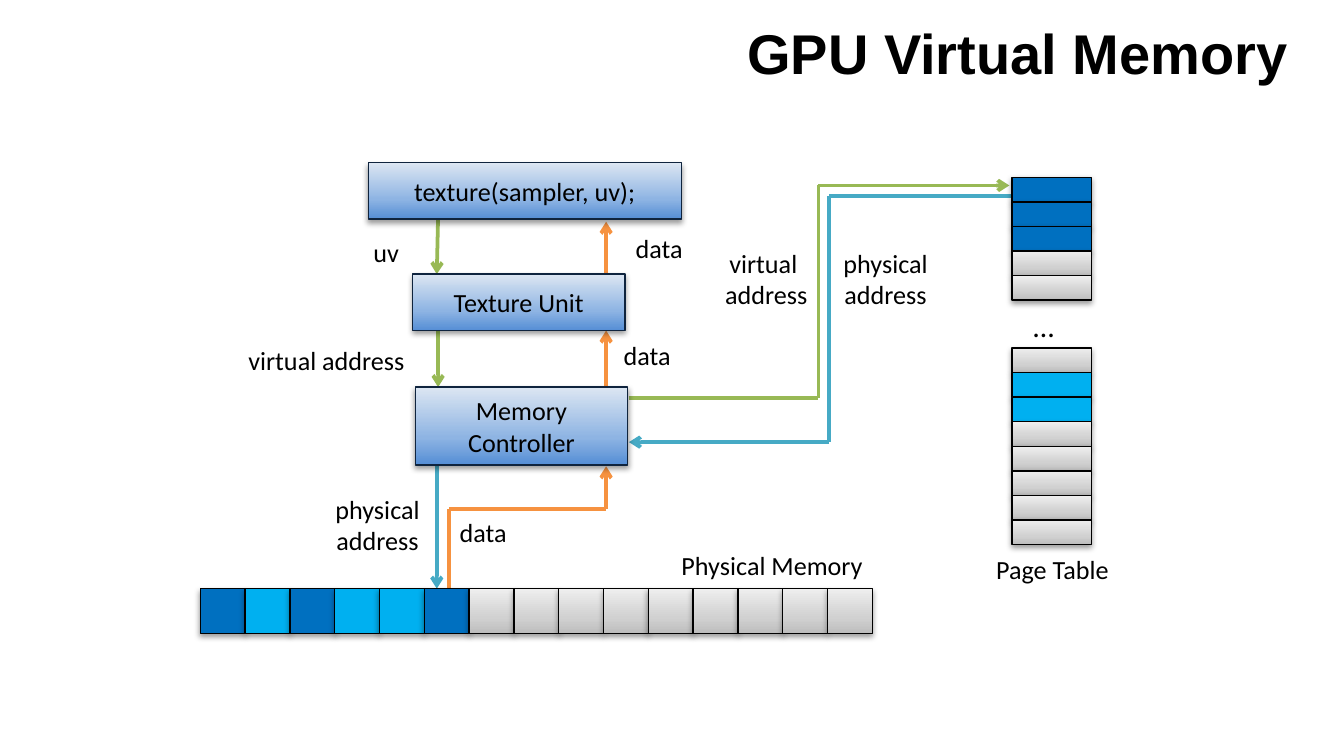
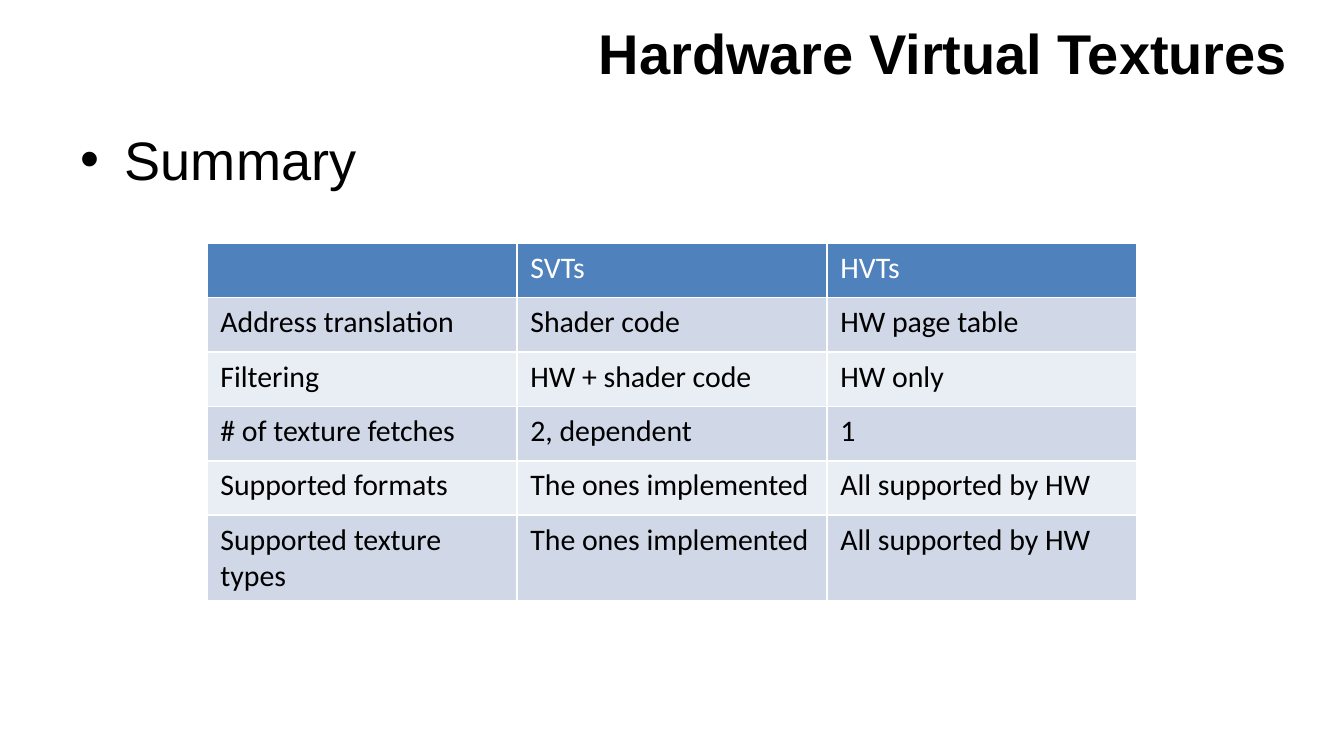
from copy import deepcopy
from itertools import pairwise

from lxml.etree import SubElement
from pptx import Presentation
from pptx.dml.color import RGBColor
from pptx.enum.shapes import MSO_CONNECTOR, MSO_SHAPE
from pptx.enum.text import MSO_ANCHOR, PP_ALIGN
from pptx.oxml.ns import qn
from pptx.util import Inches, Pt

BLACK = RGBColor(0x00, 0x00, 0x00)
WHITE = RGBColor(0xFF, 0xFF, 0xFF)
NAVY = RGBColor(0x0F, 0x24, 0x3E)
GREEN = RGBColor(0x98, 0xB9, 0x55)
TEAL = RGBColor(0x46, 0xAA, 0xC5)
ORANGE = RGBColor(0xF6, 0x92, 0x40)
DARK_BLUE = RGBColor(0x00, 0x70, 0xC0)
LIGHT_BLUE = RGBColor(0x00, 0xB0, 0xF0)
HEADER_BLUE = RGBColor(0x4F, 0x81, 0xBD)
BANDS = (RGBColor(0xD0, 0xD8, 0xE8), RGBColor(0xE9, 0xED, 0xF4))

# Gradients run from bottom to top
BLUE_FADE = (RGBColor(0x55, 0x8E, 0xD5), RGBColor(0x8E, 0xB4, 0xE3), RGBColor(0xDC, 0xE6, 0xF2))
GREY_FADE = (RGBColor(0xBD, 0xBD, 0xBD), RGBColor(0xD1, 0xD1, 0xD1), RGBColor(0xEE, 0xEE, 0xEE))
FADE_STOPS = (0, 0.35, 1)


def write(frame, text, size=14, font="Calibri", color=BLACK, bold=False,
          align=PP_ALIGN.LEFT, anchor=MSO_ANCHOR.TOP, wrap=True):
    """Put one formatted paragraph into a text frame and return it."""
    frame.word_wrap = wrap
    frame.vertical_anchor = anchor
    paragraph = frame.paragraphs[0]
    paragraph.text = text
    paragraph.alignment = align
    for run in paragraph.runs:
        run.font.size = Pt(size)
        run.font.name = font
        run.font.bold = bold
        run.font.color.rgb = color
    return paragraph


def add_node(parent, tag, **attributes):
    return SubElement(parent, qn(tag), {key: str(value) for key, value in attributes.items()})


class Deck:
    """Holds the shared style and the current slide."""

    def __init__(self):
        self.prs = Presentation()
        self.prs.slide_width = Inches(10)
        self.prs.slide_height = Inches(10 * 9 / 16)
        self.slide = None

    def new_slide(self, title):
        self.slide = self.prs.slides.add_slide(self.prs.slide_layouts[6])
        self.label(title, 0.75, 0.1, 8.93, 0.57, size=30, font="Arial", bold=True,
                   align=PP_ALIGN.RIGHT, anchor=MSO_ANCHOR.MIDDLE)

    def label(self, text, left, top, width, height=0.34, **style):
        box = self.slide.shapes.add_textbox(Inches(left), Inches(top), Inches(width), Inches(height))
        return write(box.text_frame, text, **style)

    def bullet(self, text, left, top, width, height):
        paragraph = self.label(text, left, top, width, height, size=29, font="Arial")
        paragraph.space_before = Pt(5.8)
        props = paragraph._p.get_or_add_pPr()
        props.set("marL", str(Inches(0.33)))
        props.set("indent", str(-Inches(0.33)))
        add_node(props, "a:buFont", typeface="Arial")
        add_node(props, "a:buChar", char="•")

    def block(self, left, top, width, height, fill, line=BLACK, text=""):
        """Shadowed rectangle; fill is one colour or a three-colour fade."""
        shape = self.slide.shapes.add_shape(
            MSO_SHAPE.RECTANGLE, Inches(left), Inches(top), Inches(width), Inches(height))
        if isinstance(fill, RGBColor):
            shape.fill.solid()
            shape.fill.fore_color.rgb = fill
        else:
            shape.fill.gradient()
            shape.fill.gradient_angle = 90
            stops = shape._element.spPr.find(".//" + qn("a:gsLst"))
            stops.append(deepcopy(stops[0]))
            for stop, position, color in zip(shape.fill.gradient_stops, FADE_STOPS, fill):
                stop.position = position
                stop.color.rgb = color
        shape.line.color.rgb = line
        shape.line.width = Pt(0.75)
        shape.shadow.inherit = False
        effects = shape._element.spPr.find(qn("a:effectLst"))
        shadow = add_node(effects, "a:outerShdw", blurRad=Pt(3.1), dist=Pt(1.6),
                          dir=5400000, rotWithShape=0)
        add_node(add_node(shadow, "a:srgbClr", val=BLACK), "a:alpha", val=38000)
        if text:
            write(shape.text_frame, text, align=PP_ALIGN.CENTER, anchor=MSO_ANCHOR.MIDDLE)

    def route(self, color, *points):
        """Straight segments through the points, with an arrowhead at the end."""
        for start, end in pairwise(points):
            segment = self.slide.shapes.add_connector(
                MSO_CONNECTOR.STRAIGHT, *(Inches(value) for value in start + end))
            segment.line.color.rgb = color
            segment.line.width = Pt(2)
            add_node(segment._element.spPr, "a:effectLst")
        add_node(segment.line._get_or_add_ln(), "a:tailEnd", type="arrow")

    def table(self, rows, left, top, width, height):
        table = self.slide.shapes.add_table(
            len(rows), len(rows[0]), Inches(left), Inches(top),
            Inches(width), Inches(height)).table
        for r, texts in enumerate(rows):
            for c, text in enumerate(texts):
                cell = table.cell(r, c)
                write(cell.text_frame, text, size=16, color=BLACK if r else WHITE)
                self.borders(cell)
                cell.fill.solid()
                cell.fill.fore_color.rgb = BANDS[(r - 1) % 2] if r else HEADER_BLUE

    def borders(self, cell):
        props = cell._tc.get_or_add_tcPr()
        for side in "LRTB":
            line = add_node(props, f"a:ln{side}", w=Pt(1))
            add_node(add_node(line, "a:solidFill"), "a:srgbClr", val=WHITE)


def virtual_memory(deck):
    deck.new_slide("GPU Virtual Memory")

    # Requests going down, data coming back up
    deck.route(GREEN, (3.26, 1.6), (3.25, 2.04))
    deck.route(GREEN, (3.26, 2.46), (3.26, 2.88))
    deck.route(TEAL, (3.25, 3.46), (3.25, 4.38))
    deck.route(ORANGE, (4.51, 2.96), (4.51, 2.46))
    deck.route(ORANGE, (4.51, 2.14), (4.51, 1.65))
    deck.route(ORANGE, (3.34, 4.38), (3.34, 3.79), (4.51, 3.79), (4.51, 3.47))

    # Page table lookup
    deck.route(TEAL, (7.59, 1.46), (6.17, 1.46), (6.17, 3.29), (4.68, 3.29))
    deck.route(GREEN, (4.68, 2.96), (6.09, 2.96), (6.09, 1.38), (7.51, 1.38))

    # Processing stages
    for text, left, top, width, height in (
            ("texture(sampler, uv);", 2.74, 1.21, 2.33, 0.42),
            ("Texture Unit", 3.07, 2.04, 1.58, 0.42),
            ("Memory Controller", 3.09, 2.88, 1.58, 0.58)):
        deck.block(left, top, width, height, BLUE_FADE, NAVY, text)

    # Page table in two parts
    page_height = 1.28 / 7
    for top, pages in ((1.32, [DARK_BLUE] * 3 + [GREY_FADE] * 2),
                       (2.59, [GREY_FADE] + [LIGHT_BLUE] * 2 + [GREY_FADE] * 5)):
        for i, fill in enumerate(pages):
            deck.block(7.53, top + i * page_height, 0.59, page_height, fill)
    deck.label("…", 7.59, 2.24, 0.53, 0.29, size=16, wrap=False)

    # Physical memory
    cell_size = 1 / 3
    used = [DARK_BLUE, LIGHT_BLUE, DARK_BLUE, LIGHT_BLUE, LIGHT_BLUE, DARK_BLUE]
    for i, fill in enumerate(used + [GREY_FADE] * 9):
        deck.block(1.49 + i * cell_size, 4.38, cell_size, cell_size, fill)

    # Labels
    deck.label("uv", 2.68, 1.71, 0.41, wrap=False)
    for text, left, top, width in (("Page Table", 7.24, 4.07, 1.18),
                                   ("Physical Memory", 4.9, 4.04, 1.69)):
        deck.label(text, left, top, width, align=PP_ALIGN.CENTER, wrap=False)
    for text, left, top, width, height in (
            ("virtual address", 1.68, 2.51, 1.5, 0.34),
            ("virtual\n address", 5.18, 1.79, 1, 0.57),
            ("physical address", 6.09, 1.79, 1, 0.57),
            ("physical address", 2.31, 3.62, 1, 0.57),
            ("data", 3.26, 3.79, 0.67, 0.34),
            ("data", 4.48, 2.48, 0.67, 0.34),
            ("data", 4.57, 1.68, 0.67, 0.34)):
        deck.label(text, left, top, width, height, align=PP_ALIGN.CENTER)


def virtual_textures(deck):
    deck.new_slide("Hardware Virtual Textures")
    deck.bullet("Summary", 0.5, 0.89, 9, 4.32)
    deck.table([
        ("", "SVTs", "HVTs"),
        ("Address translation", "Shader code", "HW page table"),
        ("Filtering", "HW + shader code", "HW only"),
        ("# of texture fetches", "2, dependent", "1"),
        ("Supported formats", "The ones implemented", "All supported by HW"),
        ("Supported texture types", "The ones implemented", "All supported by HW"),
    ], left=1.54, top=1.81, width=6.92, height=2.43)


def main():
    deck = Deck()
    virtual_memory(deck)
    virtual_textures(deck)
    deck.prs.save("out.pptx")


if __name__ == "__main__":
    main()
